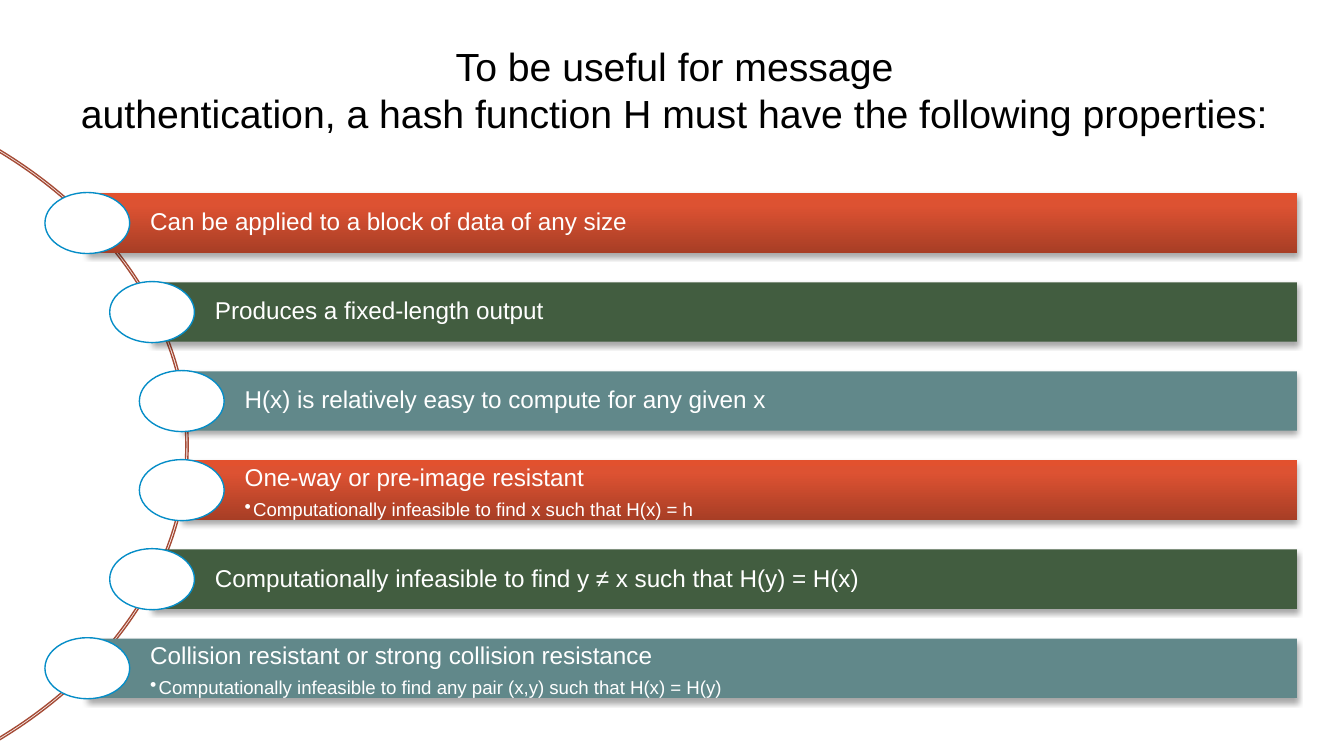
from dataclasses import dataclass

from lxml.etree import SubElement
from pptx import Presentation
from pptx.dml.color import RGBColor
from pptx.enum.shapes import MSO_SHAPE
from pptx.enum.text import MSO_ANCHOR, PP_ALIGN
from pptx.oxml.ns import qn
from pptx.shapes.autoshape import Shape
from pptx.slide import Slide
from pptx.text.text import _Paragraph
from pptx.util import Pt

BLACK = RGBColor(0x00, 0x00, 0x00)
WHITE = RGBColor(0xFF, 0xFF, 0xFF)
RED = RGBColor(0xDD, 0x52, 0x32)
DARK_RED = RGBColor(0xA8, 0x3E, 0x25)
BRIGHT_RED = RGBColor(0xE2, 0x51, 0x2E)
GREEN = RGBColor(0x42, 0x5D, 0x40)
TEAL = RGBColor(0x61, 0x88, 0x8A)
BLUE = RGBColor(0x05, 0x8D, 0xC7)
RUST = RGBColor(0xA5, 0x4B, 0x36)

FONT = "Arial"
RED_STOPS = [(0, DARK_RED), (80, RED), (100, BRIGHT_RED)]

# Bar grid, in points
FIRST_TOP = 103.6
PITCH = 47.7
BAR_HEIGHT = 31.8
BAR_RIGHT = 694.8
CIRCLE_WIDTH = 45.4
CIRCLE_HEIGHT = 32.7


@dataclass
class Property:
    left: float
    color: RGBColor
    text: str
    detail: str = ""


PROPERTIES = [
    Property(46.8, RED, "Can be applied to a block of data of any size"),
    Property(81.5, GREEN, "Produces a fixed-length output"),
    Property(97.4, TEAL, "H(x) is relatively easy to compute for any given x"),
    Property(97.4, RED, "One-way or pre-image resistant",
             "Computationally infeasible to find x such that H(x) = h"),
    Property(81.5, GREEN,
             "Computationally infeasible to find y ≠ x such that H(y) = H(x)"),
    Property(46.8, TEAL, "Collision resistant or strong collision resistance",
             "Computationally infeasible to find any pair (x,y) such that H(x) = H(y)"),
]


def format_runs(p: _Paragraph, size: float, color: RGBColor) -> None:
    for r in p.runs:
        r.font.name = FONT
        r.font.size = Pt(size)
        r.font.color.rgb = color


def add_bullet(p: _Paragraph) -> None:
    pPr = p._p.get_or_add_pPr()
    pPr.set("marL", str(Pt(4.5)))
    pPr.set("indent", str(-Pt(4.5)))
    SubElement(pPr, qn("a:buChar")).set("char", "•")


def set_red_gradient(sp: Shape) -> None:
    sp.fill.gradient()
    sp.fill.gradient_angle = 90
    stops = sp._element.spPr.find(f".//{qn('a:gsLst')}")
    for old in list(stops):
        stops.remove(old)
    for position, color in RED_STOPS:
        gs = SubElement(stops, qn("a:gs"), pos=str(position * 1000))
        SubElement(gs, qn("a:srgbClr"), val=str(color))


def add_shadow(sp: Shape) -> None:
    sp.shadow.inherit = False
    effects = sp._element.spPr.find(qn("a:effectLst"))
    shadow = SubElement(effects, qn("a:outerShdw"), blurRad=str(Pt(3.1)),
                        dist=str(Pt(1.8)), dir="5400000", rotWithShape="0")
    color = SubElement(shadow, qn("a:srgbClr"), val=str(BLACK))
    SubElement(color, qn("a:alpha"), val="35000")


def add_title(s: Slide, text: str) -> None:
    sp = s.shapes.add_textbox(Pt(0), Pt(7.2), Pt(722.9), Pt(94.3))
    tf = sp.text_frame
    tf.word_wrap = True
    tf.vertical_anchor = MSO_ANCHOR.BOTTOM
    tf.margin_bottom = Pt(28.5)
    p = tf.paragraphs[0]
    p.text = text
    p.alignment = PP_ALIGN.CENTER
    format_runs(p, 21, BLACK)


def add_arc(s: Slide) -> None:
    sp = s.shapes.add_shape(MSO_SHAPE.BLOCK_ARC, Pt(-441.4), Pt(35.3), Pt(542.2), Pt(406.1))
    for i, value in enumerate((189, 27, 0.003)):
        sp.adjustments[i] = value
    sp.shadow.inherit = False
    sp.fill.background()
    sp.line.color.rgb = RUST
    sp.line.width = Pt(0.75)


def add_bar(s: Slide, item: Property, top: float) -> None:
    sp = s.shapes.add_shape(MSO_SHAPE.RECTANGLE, Pt(item.left), Pt(top),
                            Pt(BAR_RIGHT - item.left), Pt(BAR_HEIGHT))
    if item.color == RED:
        set_red_gradient(sp)
    else:
        sp.fill.solid()
        sp.fill.fore_color.rgb = item.color
    sp.line.fill.background()
    add_shadow(sp)

    tf = sp.text_frame
    tf.word_wrap = True
    tf.vertical_anchor = MSO_ANCHOR.TOP if item.detail else MSO_ANCHOR.MIDDLE
    tf.margin_left = Pt(33.7)
    tf.margin_top = tf.margin_right = tf.margin_bottom = Pt(2.6)
    p = tf.paragraphs[0]
    p.text = item.text
    format_runs(p, 13, WHITE)
    if item.detail:
        p = tf.add_paragraph()
        p.text = item.detail
        p.level = 1
        p.space_before = Pt(4.5)
        format_runs(p, 10, WHITE)
        add_bullet(p)
    for p in tf.paragraphs:
        p.alignment = PP_ALIGN.LEFT
        p.line_spacing = 0.9


def add_circle(s: Slide, center_x: float, center_y: float) -> None:
    sp = s.shapes.add_shape(MSO_SHAPE.OVAL, Pt(center_x - CIRCLE_WIDTH / 2),
                            Pt(center_y - CIRCLE_HEIGHT / 2),
                            Pt(CIRCLE_WIDTH), Pt(CIRCLE_HEIGHT))
    sp.shadow.inherit = False
    sp.fill.solid()
    sp.fill.fore_color.rgb = WHITE
    sp.line.color.rgb = BLUE
    sp.line.width = Pt(0.75)


def main() -> None:
    prs = Presentation()
    prs.slide_width, prs.slide_height = Pt(720), Pt(405)
    s = prs.slides.add_slide(prs.slide_layouts[6])

    # Title and the arc that links the properties
    add_title(s, "To be useful for message\v"
                 "authentication, a hash function H must have the following properties:")
    add_arc(s)

    # One bar with a circle at its left end per property
    for i, item in enumerate(PROPERTIES):
        top = FIRST_TOP + i * PITCH
        add_bar(s, item, top)
        add_circle(s, item.left, top + BAR_HEIGHT / 2)

    prs.save("out.pptx")


if __name__ == "__main__":
    main()
